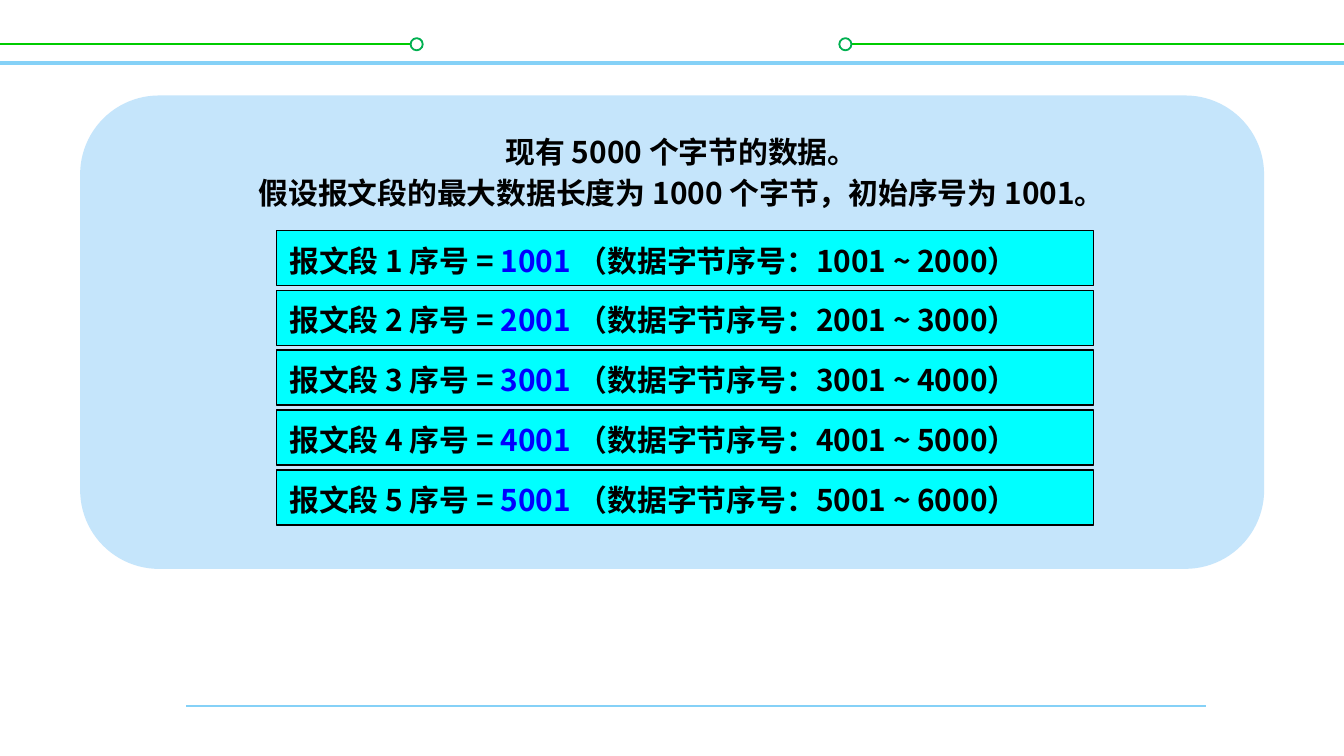
from dataclasses import dataclass
from lxml.etree import SubElement
from pptx import Presentation
from pptx.dml.color import RGBColor
from pptx.enum.shapes import MSO_CONNECTOR, MSO_SHAPE
from pptx.enum.text import MSO_ANCHOR, PP_ALIGN
from pptx.oxml.ns import qn
from pptx.util import Inches, Pt


@dataclass(frozen=True)
class Theme:
    font: str = "Noto Sans CJK SC"
    size: int = 16
    leading: int = 22
    text: str = "000000"
    accent: str = "0000FF"
    card: str = "C5E5FB"
    row: str = "00FFFF"
    rule: str = "85D1F7"
    wire: str = "00CC00"
    ring: str = "00B050"
    paper: str = "FFFFFF"


@dataclass(frozen=True)
class Box:
    x: float
    y: float
    w: float
    h: float

    def share(self, x, y, w, h):
        return Box(self.x + self.w * x / 100, self.y + self.h * y / 100,
                   self.w * w / 100, self.h * h / 100)

    def emu(self):
        return [Inches(v) for v in (self.x, self.y, self.w, self.h)]


THEME = Theme()


def rgb(color):
    return RGBColor.from_string(color)


def add_rule(s, box, color, width):
    x, y, w, h = box.emu()
    line = s.shapes.add_connector(MSO_CONNECTOR.STRAIGHT, x, y, x + w, y + h)
    line.line.color.rgb = rgb(color)
    line.line.width = Pt(width)
    SubElement(line._element.spPr, qn("a:effectLst"))


def add_block(s, kind, box, fill, line=None, width=1):
    sp = s.shapes.add_shape(kind, *box.emu())
    sp.shadow.inherit = False
    sp.fill.solid()
    sp.fill.fore_color.rgb = rgb(fill)
    if line:
        sp.line.color.rgb = rgb(line)
        sp.line.width = Pt(width)
    else:
        sp.line.fill.background()
    return sp


def write_line(p, runs, align):
    p.alignment = align
    p.line_spacing = Pt(THEME.leading)
    for text, color in runs:
        r = p.add_run()
        r.text = text
        r.font.size = Pt(THEME.size)
        r.font.bold = True
        r.font.name = THEME.font
        r.font.color.rgb = rgb(color)
        SubElement(r.font._element, qn("a:ea"), typeface=THEME.font)


def add_header(s, box):
    for x, w, ring_x in ((0, 31, 30.55), (62.5, 37.5, 62.45)):
        add_rule(s, box.share(x, 58.7, w, 0), THEME.wire, 1)
        add_block(s, MSO_SHAPE.OVAL, box.share(ring_x, 50.5, 0.9, 16),
                  THEME.paper, THEME.ring)
    add_rule(s, box.share(0, 83.6, 100, 0), THEME.rule, 2)


def add_question(s, box):
    tf = s.shapes.add_textbox(*box.emu()).text_frame
    tf.word_wrap = True
    lines = ("现有 5000 个字节的数据。",
             "假设报文段的最大数据长度为 1000 个字节，初始序号为 1001。")
    for i, text in enumerate(lines):
        p = tf.add_paragraph() if i else tf.paragraphs[0]
        write_line(p, [(text, THEME.text)], PP_ALIGN.CENTER)


def add_segments(s, box, count=5, first=1001, step=1000, fill_share=0.92):
    pitch = 100 / (count - 1 + fill_share)
    for i in range(count):
        start = first + i * step
        end = start + step - 1
        row = box.share(0, i * pitch, 100, pitch * fill_share)
        sp = add_block(s, MSO_SHAPE.RECTANGLE, row, THEME.row, THEME.text, 0.75)
        tf = sp.text_frame
        tf.word_wrap = True
        tf.vertical_anchor = MSO_ANCHOR.TOP
        runs = [(f"报文段 {i + 1} 序号 = ", THEME.text),
                (f"{start} ", THEME.accent),
                (f"（数据字节序号：{start} ~ {end}）", THEME.text)]
        write_line(tf.paragraphs[0], runs, PP_ALIGN.LEFT)


def add_card(s, box):
    add_block(s, MSO_SHAPE.ROUNDED_RECTANGLE, box, THEME.card)
    add_question(s, box.share(10.8, 5.5, 80, 20.5))
    add_segments(s, box.share(16.57, 28.5, 69, 62.2))


def main():
    page = Box(0, 0, 10, 10 * 9 / 16)
    prs = Presentation()
    prs.slide_width, prs.slide_height = Inches(page.w), Inches(page.h)
    s = prs.slides.add_slide(prs.slide_layouts[6])
    add_rule(s, page.share(13.86, 93.4, 75.9, 0), THEME.rule, 1.5)
    add_header(s, page.share(0, 0, 100, 10))
    add_card(s, page.share(5.96, 12.63, 88.1, 62.63))
    prs.save("out.pptx")


if __name__ == "__main__":
    main()
